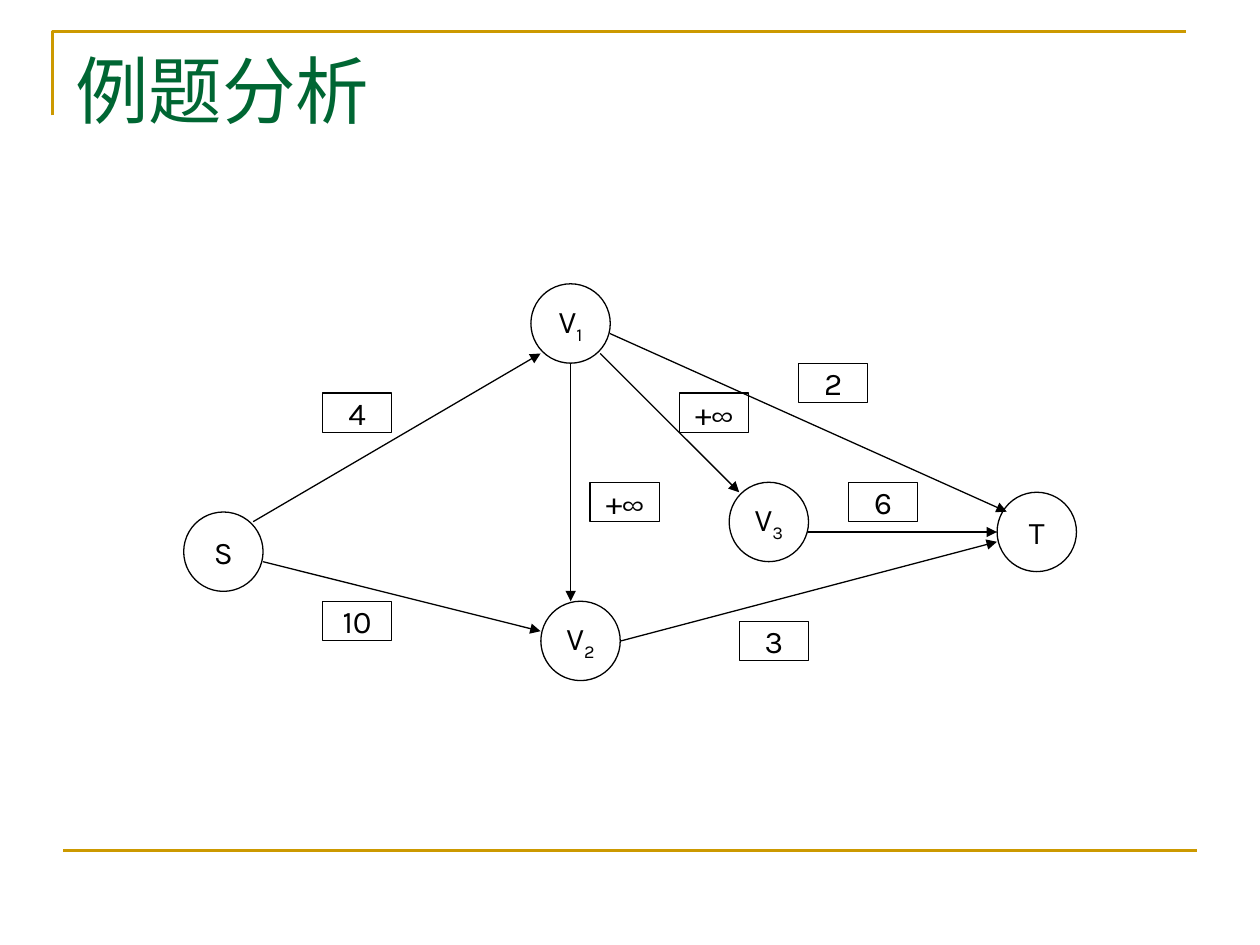
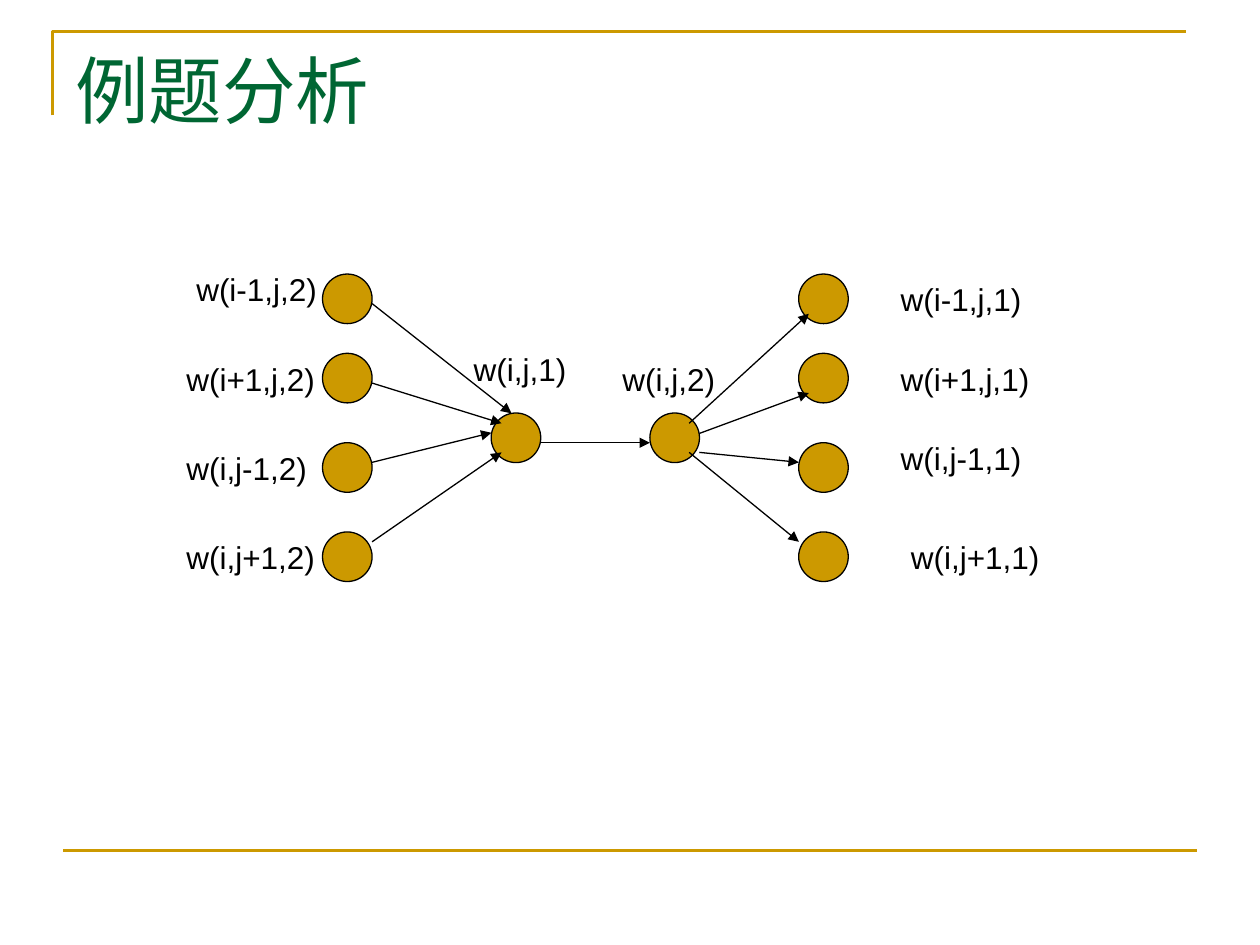
"""Two example-analysis slides: a capacity network and a split-vertex graph."""
from lxml import etree
from pptx import Presentation
from pptx.dml.color import RGBColor
from pptx.enum.shapes import MSO_CONNECTOR, MSO_SHAPE
from pptx.enum.text import MSO_ANCHOR as ANCHOR, PP_ALIGN as ALIGN
from pptx.oxml.ns import qn
from pptx.util import Pt

GOLD = RGBColor(0xCC, 0x99, 0x00)
GREEN = RGBColor(0x00, 0x66, 0x33)
BLACK = RGBColor(0x00, 0x00, 0x00)


def add_item(s, kind, x, y, w, h, text="", sub="", font="Arial", size=18, color=BLACK, fill=None, wrap=False):
    box = Pt(x), Pt(y), Pt(w), Pt(h)
    if kind is None:
        sp = s.shapes.add_textbox(*box)
    else:
        sp = s.shapes.add_shape(kind, *box)
        sp.shadow.inherit = False
        sp.line.color.rgb = BLACK
        sp.line.width = Pt(0.75)
        if fill is None:
            sp.fill.background()
        else:
            sp.fill.solid()
            sp.fill.fore_color.rgb = fill
    if not text:
        return
    tf = sp.text_frame
    tf.word_wrap = wrap
    tf.vertical_anchor = ANCHOR.TOP if kind is None else ANCHOR.MIDDLE
    p = tf.paragraphs[0]
    p.alignment = ALIGN.LEFT if kind is None else ALIGN.CENTER
    for part, baseline in ((text, 0), (sub, -25000)):
        if part:
            r = p.add_run()
            r.text = part
            r.font.name = font
            r.font.size = Pt(size)
            r.font.color.rgb = color
            if baseline:
                r.font._element.set("baseline", str(baseline))


def add_line(s, x1, y1, x2, y2, color=BLACK, width=0.75, arrow=True):
    cn = s.shapes.add_connector(MSO_CONNECTOR.STRAIGHT, Pt(x1), Pt(y1), Pt(x2), Pt(y2))
    cn.line.color.rgb = color
    cn.line.width = Pt(width)
    if arrow:
        etree.SubElement(cn.line._get_or_add_ln(), qn("a:tailEnd"), type="triangle")
    etree.SubElement(cn._element.spPr, qn("a:effectLst"))


prs = Presentation()
prs.slide_width, prs.slide_height = Pt(720), Pt(540)

slides = [prs.slides.add_slide(prs.slide_layouts[6]) for _ in range(2)]
for s in slides:
    fb = s.shapes.build_freeform(Pt(30), Pt(66), scale=1.0)
    fb.add_line_segments([(Pt(30), Pt(18)), (Pt(678), Pt(18))], close=False)
    corner = fb.convert_to_shape()
    corner.shadow.inherit = False
    corner.fill.background()
    corner.line.color.rgb = GOLD
    corner.line.width = Pt(1.5)
    add_line(s, 36, 486, 684, 486, GOLD, 1.5, arrow=False)
    add_item(s, None, 36, 22, 648, 90, "例题分析", font="Times New Roman", size=42, color=GREEN, wrap=True)

network, split = slides

vertices = [
    ("S", "", 105, 292.6),
    ("V", "2", 309.1, 343.6),
    ("V", "1", 303.4, 162.2),
    ("T", "", 569.8, 281.3),
    ("V", "3", 416.7, 275.6),
]
for name, index, x, y in vertices:
    add_item(network, MSO_SHAPE.OVAL, x, y, 45.35, 45.35, name, index, font="Karla")

edges = [
    ("4", 184.3, 224.6, (144.7, 298.1, 308.9, 202)),
    ("+∞", 337.2, 275.6, (326.1, 207.4, 326.1, 343.6)),
    ("2", 456.3, 207.6, (348.5, 190.6, 575.3, 292.4)),
    ("3", 422.4, 355, (354.3, 366.4, 569.7, 309.6)),
    ("10", 184.3, 343.6, (150.4, 321, 308.9, 360.7)),
    ("+∞", 388.3, 224.6, (343, 202, 422.4, 281.3)),
    ("6", 484.8, 275.6, (462, 304, 569.7, 304)),
]
for capacity, x, y, ends in edges:
    add_item(network, MSO_SHAPE.RECTANGLE, x, y, 39.6, 22.6, capacity, font="Karla")
    add_line(network, *ends)

DOT = 28.35
LEFT_X, IN_X, OUT_X, RIGHT_X = 184.3, 280.7, 371.4, 456.4
neighbours = [
    ("i-1,j", 156.6, 83.5, (105.1, 150.8), (507.6, 156.6), (173.5, 292.3, 236.2), (393.8, 241.9, 462.2, 179.3)),
    ("i+1,j", 201.9, 87.8, (99.4, 202.1), (507.6, 202.1), (218.9, 286.6, 241.9), (399.6, 247.7, 462.2, 224.6)),
    ("i,j-1", 253, 83.5, (99.4, 253), (507.6, 247.3), (264.2, 280.8, 247.3), (399.6, 258.5, 456.5, 264.2)),
    ("i,j+1", 304, 87.8, (99.4, 304), (513.4, 304), (309.6, 286.6, 258.5), (393.8, 258.5, 456.5, 309.6)),
]
dots = [(x, row[1]) for x in (LEFT_X, RIGHT_X) for row in neighbours]
for x, y in dots + [(IN_X, 236), (OUT_X, 236)]:
    add_item(split, MSO_SHAPE.OVAL, x, y, DOT, DOT, fill=GOLD)

add_line(split, IN_X + DOT, 253, OUT_X, 253)
for cell, _, width, left, right, incoming, outgoing in neighbours:
    add_line(split, LEFT_X + DOT, *incoming)
    add_line(split, *outgoing)
    add_item(split, None, *left, width, 28.8, f"w({cell},2)")
    add_item(split, None, *right, width, 28.8, f"w({cell},1)")
for layer, x, y in ((1, 263.6, 196.5), (2, 348.6, 202.1)):
    add_item(split, None, x, y, 69, 28.8, f"w(i,j,{layer})")

prs.save("out.pptx")
